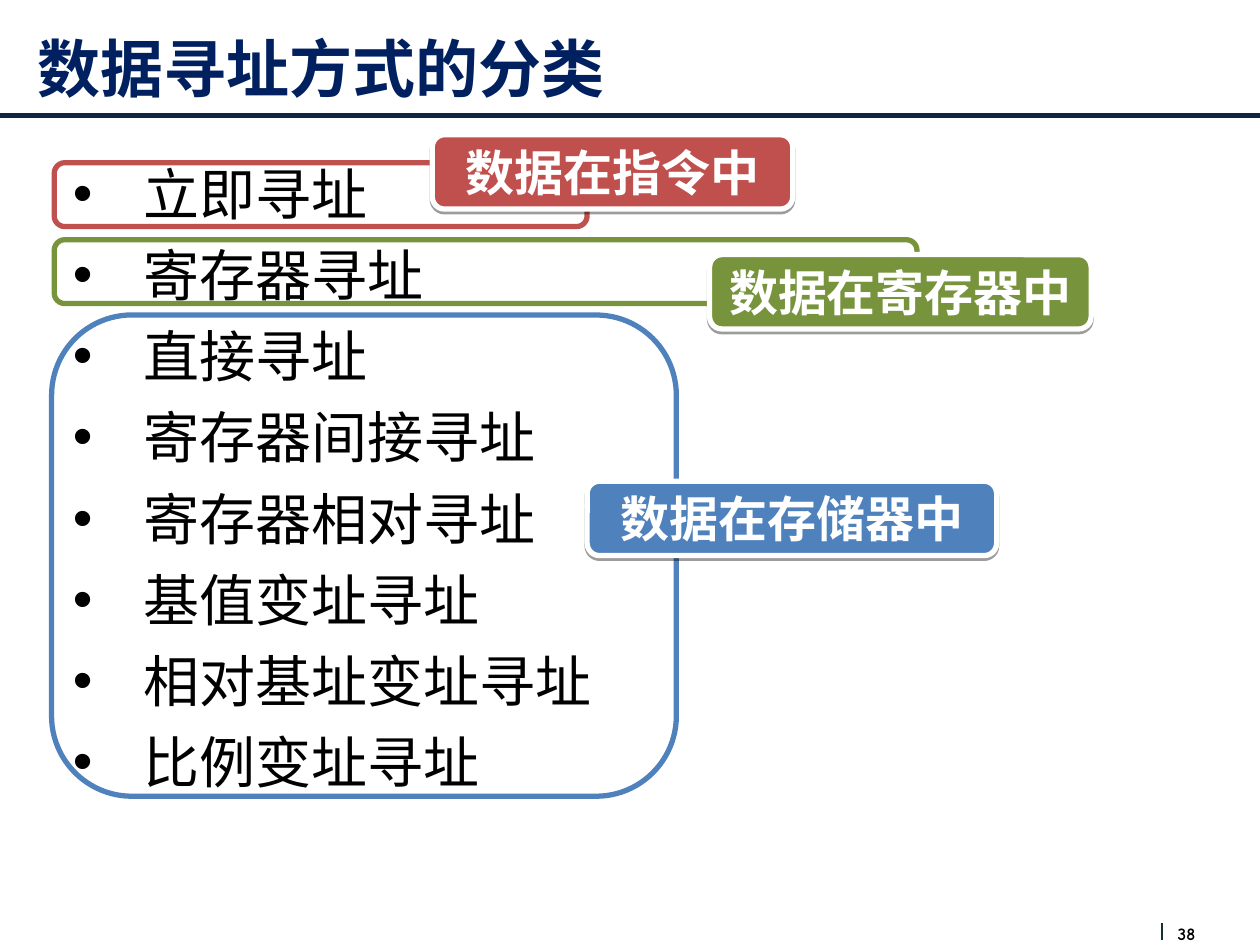
from lxml import etree
from pptx import Presentation
from pptx.dml.color import RGBColor
from pptx.enum import shapes, text
from pptx.oxml import parse_xml
from pptx.oxml.ns import nsdecls, qn
from pptx.util import Pt

TITLE = "数据寻址方式的分类"
MODES = ["立即寻址", "寄存器寻址", "直接寻址", "寄存器间接寻址",
         "寄存器相对寻址", "基值变址寻址", "相对基址变址寻址", "比例变址寻址"]
# label, colour, frame box, label box (left, top, width, height in points)
GROUPS = [
    ("数据在指令中", "C0504D", (31, 93, 304.5, 36.5), (247, 77, 206, 42.5)),
    ("数据在寄存器中", "77933C", (31, 137, 493, 36.5), (405.5, 145.5, 218, 42.5)),
    ("数据在存储器中", "4F81BD", (29.5, 180, 357, 275), (335.5, 275, 234, 42.5)),
]
PAGE = "38"
THEME = dict(
    latin="Arial", cjk="Noto Sans CJK SC", number="Comic Neue",
    title="002060", body="000000", white="FFFFFF", rule="10253F", tick="172F37",
    title_size=36, body_size=32, label_size=28, number_size=10, stroke=3,
)


def rgb(value):
    return RGBColor.from_string(value)


def style(p, face, size, color, bold=False):
    for r in p.runs:
        f = r.font
        f.name, f.size, f.bold = face, Pt(size), bold
        f.color.rgb = rgb(color)
        ea = etree.SubElement(r._r.get_or_add_rPr(), qn("a:ea"))
        ea.set("typeface", THEME["cjk"])


def place(sp, box):
    sp.left, sp.top, sp.width, sp.height = map(Pt, box)


def add_line(slide, x1, y1, x2, y2, color, width):
    line = slide.shapes.add_connector(
        shapes.MSO_CONNECTOR.STRAIGHT, Pt(x1), Pt(y1), Pt(x2), Pt(y2))
    line.line.color.rgb = rgb(color)
    line.line.width = Pt(width)
    etree.SubElement(line._element.spPr, qn("a:effectLst"))


def add_round_rect(group, box, line_color, fill=None):
    sp = group.shapes.add_shape(shapes.MSO_SHAPE.ROUNDED_RECTANGLE, *map(Pt, box))
    sp.shadow.inherit = False
    sp.line.color.rgb = rgb(line_color)
    sp.line.width = Pt(THEME["stroke"])
    if fill:
        sp.fill.solid()
        sp.fill.fore_color.rgb = rgb(fill)
    else:
        sp.fill.background()
    return sp


def add_drop_shadow(sp):
    effects = sp._element.spPr.find(qn("a:effectLst"))
    effects.append(parse_xml(
        f'<a:outerShdw {nsdecls("a")} blurRad="0" dist="{Pt(1.6)}" dir="5400000" '
        'rotWithShape="0"><a:srgbClr val="000000"><a:alpha val="38000"/>'
        '</a:srgbClr></a:outerShdw>'))


def add_bullet(p):
    pPr = p._p.get_or_add_pPr()
    pPr.set("marL", str(Pt(45)))
    pPr.set("indent", str(Pt(-40.5)))
    for tag, attr, value in (("a:buFont", "typeface", THEME["latin"]),
                             ("a:buChar", "char", "•")):
        etree.SubElement(pPr, qn(tag)).set(attr, value)


prs = Presentation()
prs.slide_width, prs.slide_height = Pt(720), Pt(540)
slide = prs.slides.add_slide(prs.slide_layouts[5])

# Title and rule below it
title = slide.shapes.title
place(title, (14.5, 0, 686, 77))
tf = title.text_frame
tf.text = TITLE
tf.vertical_anchor = text.MSO_ANCHOR.MIDDLE
tf.paragraphs[0].alignment = text.PP_ALIGN.LEFT
style(tf.paragraphs[0], THEME["latin"], THEME["title_size"], THEME["title"], True)
add_line(slide, 0, 66, 720, 66, THEME["rule"], THEME["stroke"])

# Page number with its tick
number = slide.shapes.add_textbox(Pt(673), Pt(527.5), Pt(24.5), Pt(12))
tf = number.text_frame
tf.margin_left = tf.margin_right = tf.margin_top = tf.margin_bottom = 0
tf.word_wrap = True
tf.text = PAGE
style(tf.paragraphs[0], THEME["number"], THEME["number_size"], THEME["body"], True)
add_line(slide, 664, 527.5, 664, 537, THEME["tick"], 0.75)

# Addressing modes, set high enough to clear the frames
body = slide.shapes.add_textbox(Pt(30), Pt(88.5), Pt(660), Pt(420))
tf = body.text_frame
tf.word_wrap = True
tf.margin_top = Pt(2.5)
for i, mode in enumerate(MODES):
    p = tf.paragraphs[0] if i == 0 else tf.add_paragraph()
    p.text = mode
    p.alignment = text.PP_ALIGN.JUSTIFY
    p.line_spacing = Pt(38.4)
    p.space_before = Pt(8 if i else 0)
    add_bullet(p)
    style(p, THEME["latin"], THEME["body_size"], THEME["body"])

# Frames around the modes, each with its label
for label, color, frame_box, label_box in GROUPS:
    group = slide.shapes.add_group_shape()
    add_round_rect(group, frame_box, color)
    sp = add_round_rect(group, label_box, THEME["white"], color)
    add_drop_shadow(sp)
    tf = sp.text_frame
    tf.word_wrap = True
    tf.vertical_anchor = text.MSO_ANCHOR.MIDDLE
    tf.text = label
    p = tf.paragraphs[0]
    p.alignment = text.PP_ALIGN.CENTER
    style(p, THEME["cjk"], THEME["label_size"], THEME["white"], True)

prs.save("out.pptx")
